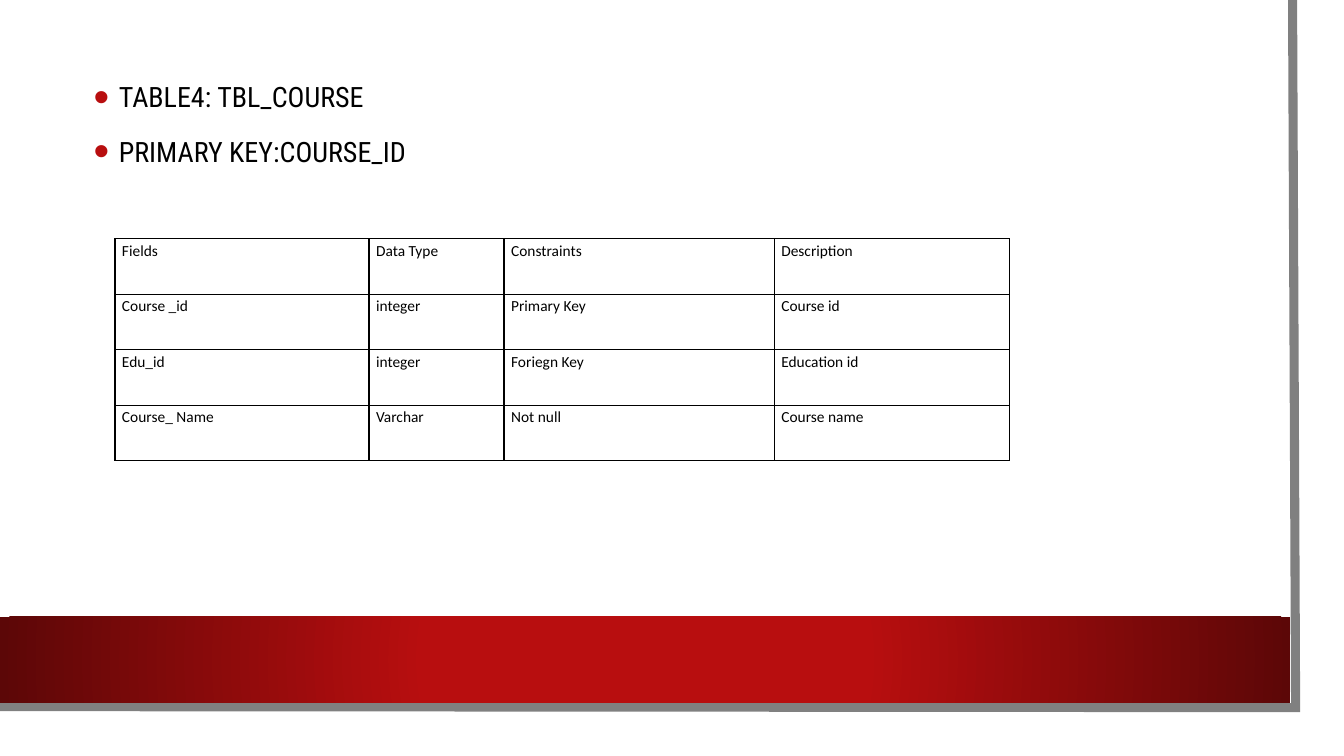
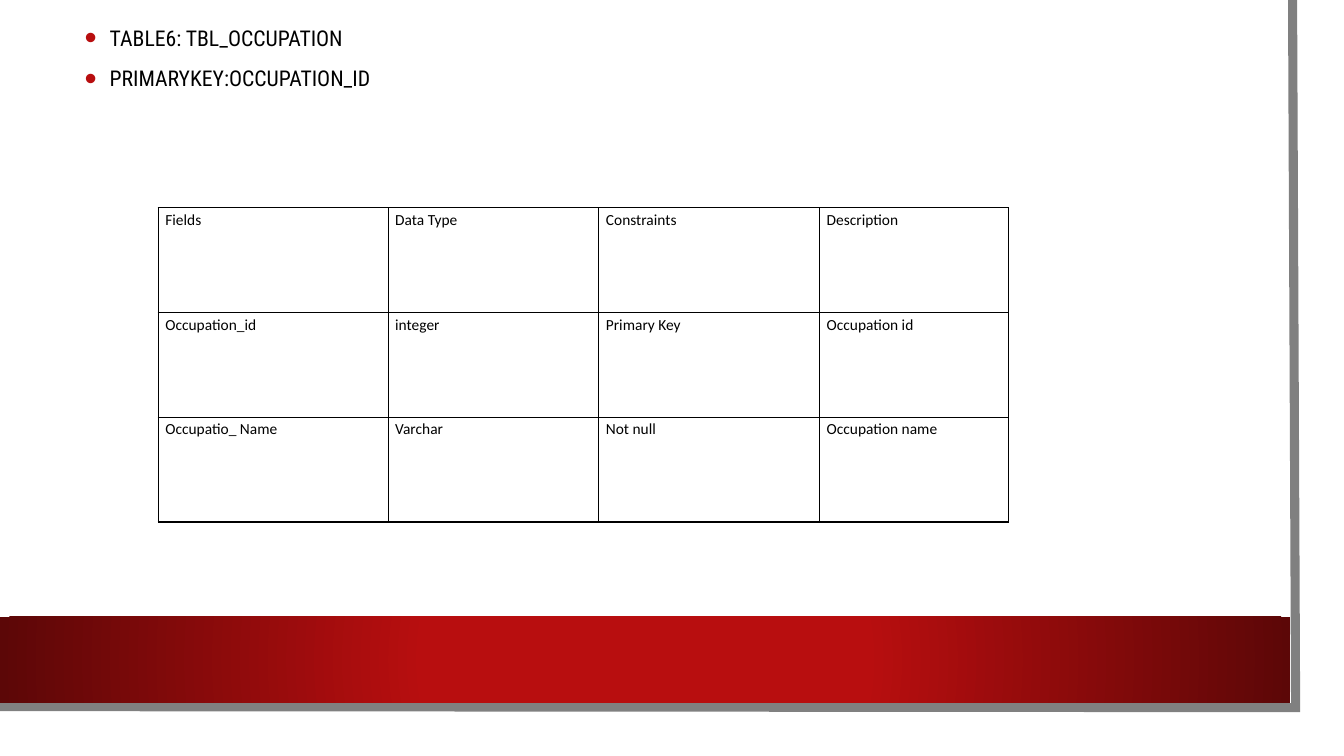
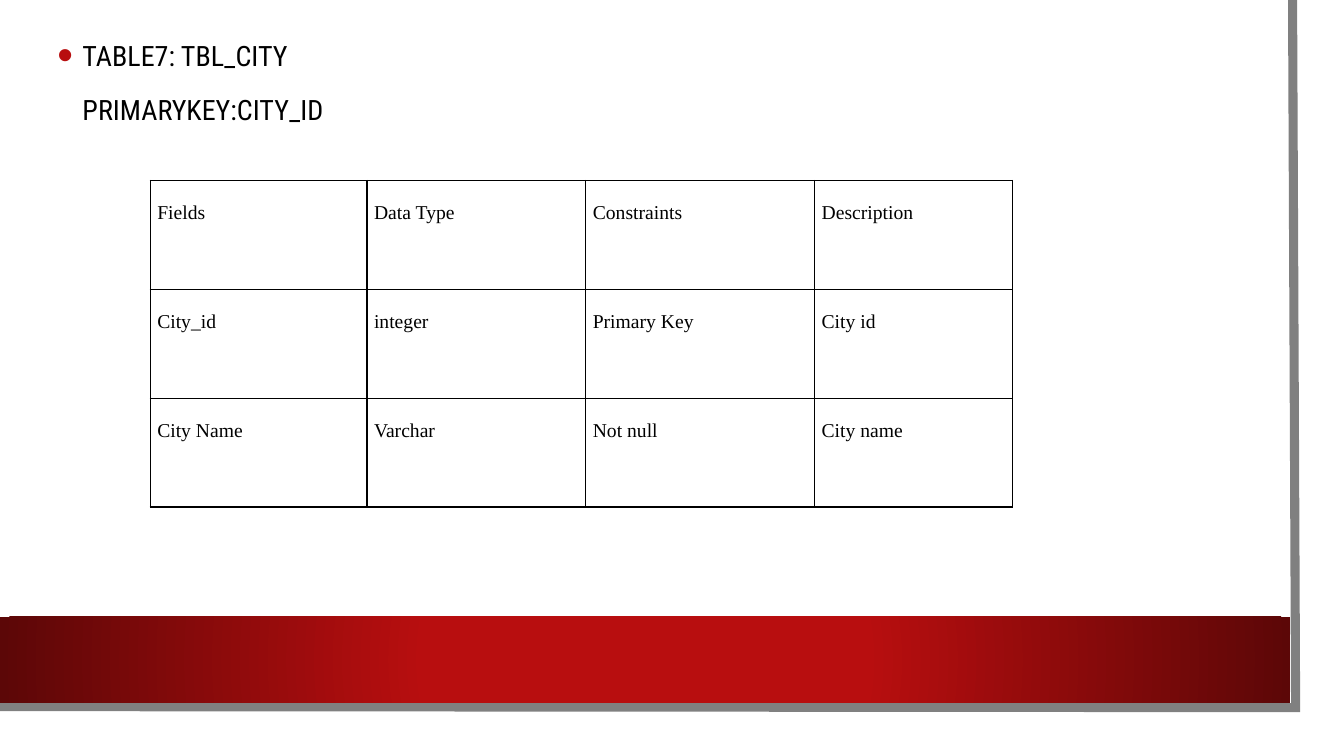
from pptx import Presentation
from pptx.dml.color import RGBColor
from pptx.enum import shapes, text
from pptx.oxml import parse_xml
from pptx.oxml.ns import nsdecls
from pptx.util import Inches, Pt


class Theme:
    white = "FFFFFF"
    black = "000000"
    gray = "808080"
    red = "B80E0F"
    dark = "5C0707"
    head = "Roboto Condensed"
    edge = 6.5
    rule = 1
    bullet = 160


HEADER = ("Fields", "Data Type", "Constraints", "Description")

PAGES = [
    {
        "heads": [("TABLE4: TBL_COURSE", True), ("PRIMARY KEY:COURSE_ID", True)],
        "box": (0.83, 0.65, 11.37, 1.09), "size": 20, "lead": 1.2,
        "rows": [
            ("Course _id", "integer", "Primary Key", "Course id"),
            ("Edu_id", "integer", "Foriegn Key", "Education id"),
            ("Course_ Name", "Varchar", "Not null", "Course name"),
        ],
        "at": (1.14, 2.37), "cols": (2.52, 1.34, 2.68, 2.33), "high": 0.55,
        "cell": ("Calibri", 11, 1.15),
    },
    {
        "heads": [("TABLE6: TBL_OCCUPATION", True), ("PRIMARYKEY:OCCUPATION_ID", True)],
        "box": (0.74, 0.18, 11.37, 0.79), "size": 15.5, "lead": 1.0,
        "rows": [
            ("Occupation_id", "integer", "Primary Key", "Occupation id"),
            ("Occupatio_ Name", "Varchar", "Not null", "Occupation name"),
        ],
        "at": (1.57, 2.06), "cols": (2.28, 2.09, 2.19, 1.87), "high": 1.04,
        "cell": ("Calibri", 11, 1.15),
    },
    {
        "heads": [("TABLE7: TBL_CITY", True), ("PRIMARYKEY:CITY_ID", False)],
        "box": (0.47, 0.12, 11.37, 1.32), "size": 20, "lead": 1.2,
        "rows": [
            ("City_id", "integer", "Primary Key", "City id"),
            ("City Name", "Varchar", "Not null", "City name"),
        ],
        "at": (1.49, 1.79), "cols": (2.15, 2.17, 2.27, 1.96), "high": 1.08,
        "cell": ("Times New Roman", 14, 2.0),
    },
]


def rgb(code):
    return RGBColor.from_string(code)


def xml(tag, body="", attrs=""):
    return parse_xml(f"<a:{tag} {nsdecls('a')} {attrs}>{body}</a:{tag}>")


def solid(code):
    return f'<a:solidFill><a:srgbClr val="{code}"/></a:solidFill>'


def style(para, face, size, lead):
    para.line_spacing = lead
    for run in para.runs:
        run.font.name = face
        run.font.size = Pt(size)
        run.font.color.rgb = rgb(Theme.black)


def add_rect(slide, *box):
    rect = slide.shapes.add_shape(shapes.MSO_SHAPE.RECTANGLE, *map(Inches, box))
    rect.shadow.inherit = False
    rect.line.fill.background()
    rect.fill.solid()
    return rect


def add_frame(slide):
    """Draw the sheet, its gray edge and the red band."""
    sheet = add_rect(slide, 0, 0, 13.1, 7.27)
    sheet.fill.fore_color.rgb = rgb(Theme.white)

    pen = slide.shapes.build_freeform(Inches(12.82), 0)
    pen.add_line_segments(
        [(Inches(12.85), Inches(7.02)), (Inches(-0.03), Inches(7.01))], close=False)
    edge = pen.convert_to_shape()
    edge.shadow.inherit = False
    edge.fill.background()
    edge.line.color.rgb = rgb(Theme.gray)
    edge.line.width = Pt(Theme.edge)
    edge.line._ln.append(xml("miter", attrs='lim="800000"'))

    band = add_rect(slide, 0, 6.12, 12.8, 0.85)
    stops = "".join(
        f'<a:gs pos="{pos * 1000}"><a:srgbClr val="{code}"/></a:gs>'
        for pos, code in ((34, Theme.red), (100, Theme.dark)))
    center = '<a:fillToRect l="50000" t="50000" r="50000" b="50000"/>'
    grad = xml("gradFill", f'<a:gsLst>{stops}</a:gsLst><a:path path="circle">{center}</a:path>')
    props = band._element.spPr
    props.replace(props.find(grad.tag.replace("gradFill", "solidFill")), grad)


def add_heads(slide, page):
    frame = slide.shapes.add_textbox(*map(Inches, page["box"])).text_frame
    frame.word_wrap = True
    frame.vertical_anchor = text.MSO_ANCHOR.MIDDLE
    frame.text = "\n".join(line for line, _ in page["heads"])
    for num, (para, (_, dot)) in enumerate(zip(frame.paragraphs, page["heads"])):
        props = para._p.get_or_add_pPr()
        props.set("marL", str(Inches(0.25)))
        props.set("indent", str(Inches(-0.25 if dot else 0)))
        if dot:
            props.append(xml("buClr", f'<a:srgbClr val="{Theme.red}"/>'))
            props.append(xml("buSzPct", attrs=f'val="{Theme.bullet * 1000}"'))
            props.append(xml("buFont", attrs='typeface="Arial"'))
            props.append(xml("buChar", attrs='char="•"'))
        style(para, Theme.head, page["size"], page["lead"])
        para.space_before = Pt(10 if num else 0)


def add_grid(slide, page):
    rows = [HEADER] + page["rows"]
    cols, high = page["cols"], page["high"]
    size = (sum(cols), high * len(rows))
    table = slide.shapes.add_table(
        len(rows), len(cols), *map(Inches, page["at"] + size)).table
    table.first_row = table.horz_banding = False
    for col, wide in zip(table.columns, cols):
        col.width = Inches(wide)
    for row, words in zip(table.rows, rows):
        row.height = Inches(high)
        for cell, word in zip(row.cells, words):
            cell.text = word
            cell.margin_left = cell.margin_right = Inches(0.07)
            cell.margin_top = cell.margin_bottom = 0
            style(cell.text_frame.paragraphs[0], *page["cell"])
            props = cell._tc.get_or_add_tcPr()
            for side in "LRTB":
                props.append(xml(f"ln{side}", solid(Theme.black), f'w="{Pt(Theme.rule)}"'))
            cell.fill.background()


def main():
    deck = Presentation()
    deck.slide_width, deck.slide_height = Inches(13.33), Inches(7.5)
    for page in PAGES:
        slide = deck.slides.add_slide(deck.slide_layouts[6])
        add_frame(slide)
        add_heads(slide, page)
        add_grid(slide, page)
    deck.save("out.pptx")


if __name__ == "__main__":
    main()
